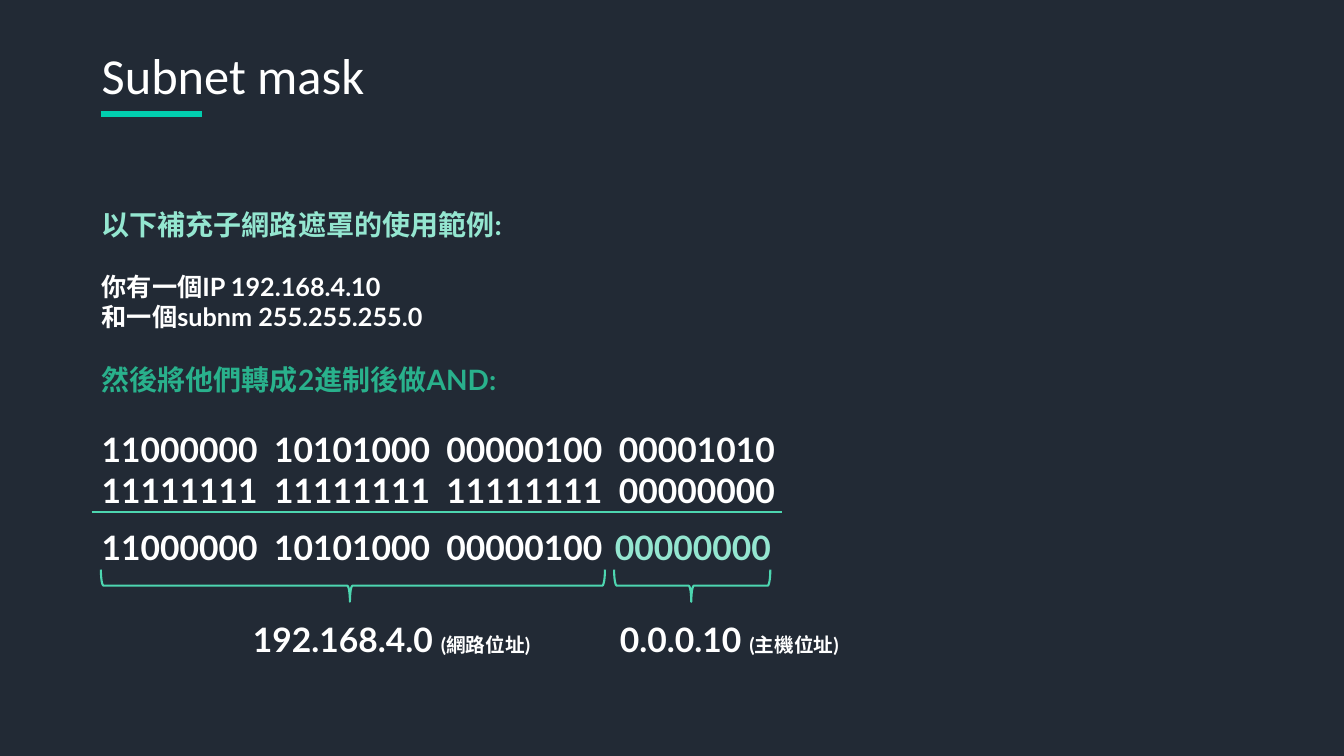
from lxml import etree
from pptx import Presentation
from pptx.dml.color import RGBColor
from pptx.enum.shapes import MSO_CONNECTOR, MSO_SHAPE
from pptx.enum.text import MSO_AUTO_SIZE
from pptx.oxml.ns import qn
from pptx.util import Inches, Pt

STRAIGHT = MSO_CONNECTOR.STRAIGHT
BRACE = MSO_SHAPE.RIGHT_BRACE
GROW = MSO_AUTO_SIZE.SHAPE_TO_FIT_TEXT

NAVY = RGBColor(0x22, 0x2A, 0x35)
WHITE = RGBColor(0xFF, 0xFF, 0xFF)
TEAL = RGBColor(0x01, 0xCE, 0xAF)
MINT = RGBColor(0x94, 0xE6, 0xD0)
GREEN = RGBColor(0x29, 0xB1, 0x8C)
AQUA = RGBColor(0x4D, 0xD6, 0xB0)

TITLE = {"name": "Calibri", "size": Pt(36)}
LEAD = {"name": "Lato", "bold": True, "size": Pt(20)}
PLAIN = LEAD | {"size": Pt(18)}
BITS = LEAD | {"size": Pt(24)}
NOTE = LEAD | {"size": Pt(14)}

OCTET_PITCH = 1.71
OCTET_STOPS = [OCTET_PITCH * i for i in (1, 2, 3)]
RESULT_STOPS = OCTET_STOPS[:2] + [5.09]

title = [(0, [], [("Subnet mask", TITLE, WHITE)])]
example = [
    (0, [], [("以下補充子網路遮罩的使用範例:", LEAD, MINT)]),
    (21.6, [], [("你有一個IP 192.168.4.10", PLAIN, WHITE)]),
    (0, [], [("和一個subnm 255.255.255.0", PLAIN, WHITE)]),
    (21.6, [], [("然後將他們轉成2進制後做AND:", LEAD, GREEN)]),
    (24, OCTET_STOPS, [("11000000\t10101000\t00000100\t00001010", BITS, WHITE)]),
    (0, OCTET_STOPS, [("11111111\t11111111\t11111111\t00000000", BITS, WHITE)]),
    (12, RESULT_STOPS, [("11000000\t10101000\t00000100\t", BITS, WHITE),
                        ("00000000", BITS, MINT)]),
]
network = [(0, [], [("192.168.4.0 ", BITS, WHITE), ("(網路位址)", NOTE, WHITE)])]
host = [(0, [], [("0.0.0.10 ", BITS, WHITE), ("(主機位址)", NOTE, WHITE)])]

boxes = [
    ((0.91, 0.39, 3.42, 0.71), False, title),
    ((0.91, 2.01, 8.89, 4.07), True, example),
    ((2.41, 6.09, 3.3, 0.5), True, network),
    ((6.05, 6.09, 3.3, 0.5), True, host),
]
rules = [(1, 2, 1.13, TEAL, 4.5), (0.91, 7.76, 5.08, AQUA, 1)]
braces = [(1, 5), (6.09, 1.55)]
BRACE_TOP, BRACE_DEPTH = 5.65, 0.32


def add_box(page, place, wrap, paragraphs):
    box = page.shapes.add_textbox(*map(Inches, place))
    frame = box.text_frame
    frame.word_wrap = wrap
    frame.auto_size = GROW
    for index, (gap, stops, spans) in enumerate(paragraphs):
        para = frame.add_paragraph() if index else frame.paragraphs[0]
        para.space_before = Pt(gap)
        if stops:
            tabs = etree.SubElement(para._p.get_or_add_pPr(), qn("a:tabLst"))
            for stop in stops:
                etree.SubElement(tabs, qn("a:tab"), pos=str(Inches(stop)), algn="l")
        for text, style, color in spans:
            span = para.add_run()
            span.text = text
            for key, value in style.items():
                setattr(span.font, key, value)
            span.font.color.rgb = color


def add_rule(page, left, right, y, color, width):
    rule = page.shapes.add_connector(
        STRAIGHT, Inches(left), Inches(y), Inches(right), Inches(y))
    rule.line.color.rgb = color
    rule.line.width = Pt(width)
    etree.SubElement(rule._element.spPr, qn("a:effectLst"))


def add_brace(page, left, span_width):
    center_x = left + span_width / 2
    center_y = BRACE_TOP + BRACE_DEPTH / 2
    brace = page.shapes.add_shape(
        BRACE, Inches(center_x - BRACE_DEPTH / 2), Inches(center_y - span_width / 2),
        Inches(BRACE_DEPTH), Inches(span_width))
    brace.rotation = 90
    brace.adjustments[0] = 0.083
    brace.adjustments[1] = 0.506
    brace.shadow.inherit = False
    brace.fill.background()
    brace.line.color.rgb = AQUA
    brace.line.width = Pt(1.5)


def main():
    deck = Presentation()
    deck.slide_width, deck.slide_height = Inches(13.33), Inches(7.5)
    page = deck.slides.add_slide(deck.slide_layouts[6])
    page.background.fill.solid()
    page.background.fill.fore_color.rgb = NAVY
    for box in boxes:
        add_box(page, *box)
    for rule in rules:
        add_rule(page, *rule)
    for brace in braces:
        add_brace(page, *brace)
    deck.save("out.pptx")


if __name__ == "__main__":
    main()
